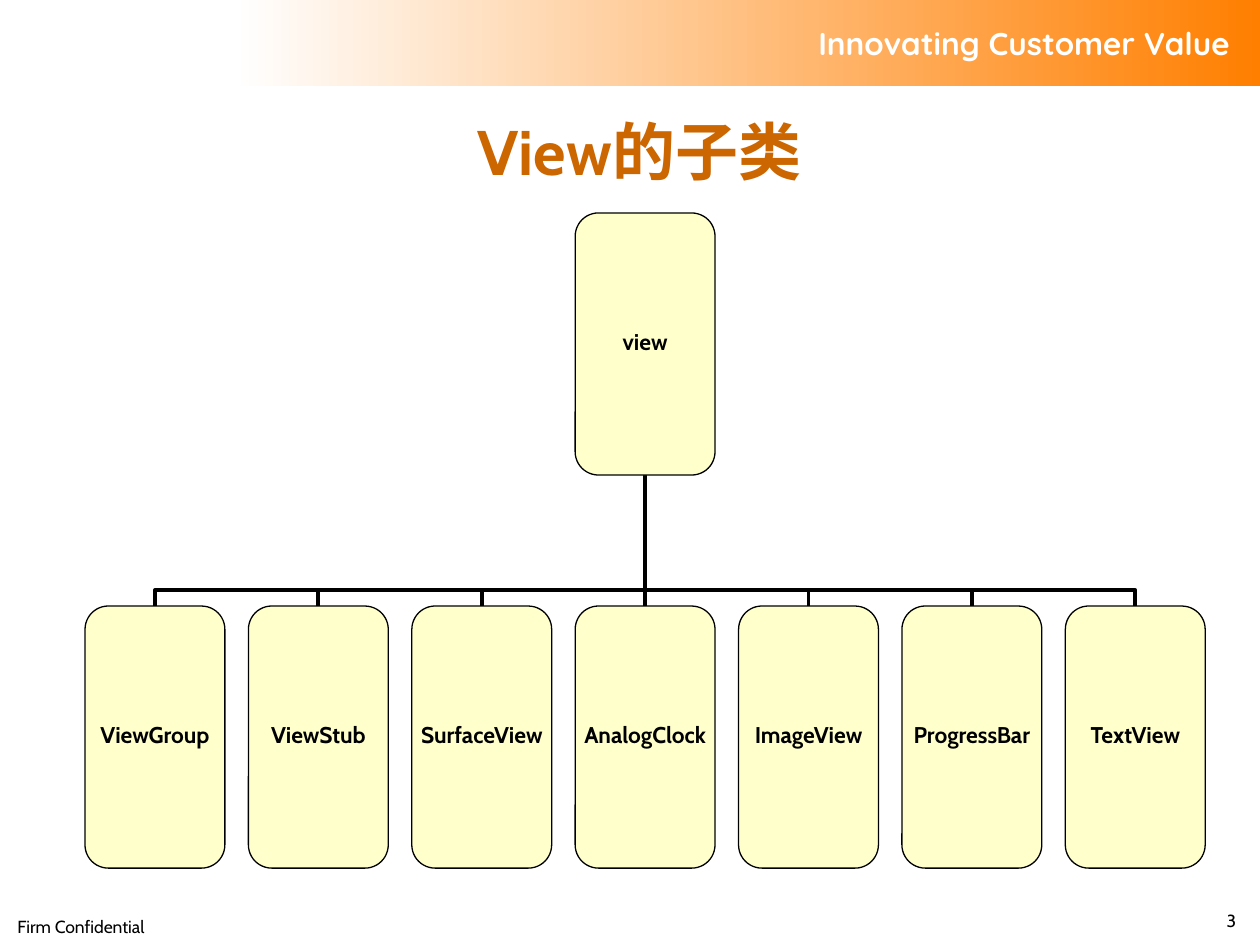
from lxml import etree
from pptx import Presentation
from pptx.dml.color import RGBColor
from pptx.enum.shapes import MSO_CONNECTOR, MSO_SHAPE
from pptx.enum.text import MSO_ANCHOR, PP_ALIGN
from pptx.oxml.ns import qn
from pptx.util import Inches, Pt

ELBOW = MSO_CONNECTOR.ELBOW
RECTANGLE, ROUNDED = MSO_SHAPE.RECTANGLE, MSO_SHAPE.ROUNDED_RECTANGLE
TOP, MIDDLE, BOTTOM = MSO_ANCHOR.TOP, MSO_ANCHOR.MIDDLE, MSO_ANCHOR.BOTTOM
LEFT, CENTER, RIGHT = PP_ALIGN.LEFT, PP_ALIGN.CENTER, PP_ALIGN.RIGHT

ORANGE = RGBColor(0xFF, 0x7F, 0x00)
RUST = RGBColor(0xCC, 0x66, 0x00)
CREAM = RGBColor(0xFF, 0xFF, 0xCC)
WHITE = RGBColor(0xFF, 0xFF, 0xFF)
BLACK = RGBColor(0, 0, 0)

BANNER = "Innovating Customer Value"
TITLE = "View的子类"
ROOT = "view"
SUBCLASSES = ["ViewGroup", "ViewStub", "SurfaceView", "AnalogClock",
              "ImageView", "ProgressBar", "TextView"]
FOOTERS = [
    ("Firm Confidential", (0.04, 7.22, 3.17, 0.24), LEFT, TOP),
    ("3", (7.91, 7.2, 2, 0.24), RIGHT, BOTTOM),
]

BANNER_FONT = {"name": "Quicksand", "size": Pt(18), "bold": True}
TITLE_FONT = {"name": "Cabin", "size": Pt(36), "bold": True}
NODE_FONT = {"name": "Cabin", "size": Pt(13), "bold": True}
FOOTER_FONT = {"name": "Cabin", "size": Pt(10), "bold": False}

NODE_WIDTH, NODE_HEIGHT = 1.11, 2.08
ROOT_TOP, CHILD_TOP = 1.69, 4.81
FIRST_CENTER, LAST_CENTER = 1.23, 9.01
PITCH = (LAST_CENTER - FIRST_CENTER) / (len(SUBCLASSES) - 1)
ROOT_CENTER = (FIRST_CENTER + LAST_CENTER) / 2
BEND = 12000


def place(shape, area):
    for side, length in zip(("left", "top", "width", "height"), area):
        setattr(shape, side, Inches(length))


def write(shape, text, font, color, align, anchor, margins=(0.1, 0.05, 0.1, 0.05)):
    frame = shape.text_frame
    frame.text = text
    frame.word_wrap = True
    frame.vertical_anchor = anchor
    for side, margin in zip(("left", "top", "right", "bottom"), margins):
        setattr(frame, f"margin_{side}", Inches(margin))
    para = frame.paragraphs[0]
    para.alignment = align
    span = para.runs[0]
    for name, value in font.items():
        setattr(span.font, name, value)
    span.font.color.rgb = color
    return para


def add_banner(page):
    banner = page.shapes.add_shape(RECTANGLE, 0, 0, 0, 0)
    place(banner, (1.85, 0, 8.15, 0.68))
    banner.shadow.inherit = False
    banner.line.fill.background()
    banner.fill.gradient()
    banner.fill.gradient_angle = 180
    for stop, color in zip(banner.fill.gradient_stops, (ORANGE, WHITE)):
        stop.color.rgb = color
    write(banner, BANNER, BANNER_FONT, WHITE, RIGHT, MIDDLE, (0.1, 0.05, 0.24, 0.05))


def add_branch(page, child_center):
    rise = CHILD_TOP - ROOT_TOP - NODE_HEIGHT
    run = abs(child_center - ROOT_CENTER)
    left = (child_center + ROOT_CENTER - rise) / 2
    bottom = CHILD_TOP - (rise - run) / 2
    start, end, turn = left, left + rise, 270
    if child_center < ROOT_CENTER:
        start, end, turn = end, start, 90
    branch = page.shapes.add_connector(
        ELBOW, Inches(start), Inches(bottom), Inches(end), Inches(bottom - run))
    branch.line.color.rgb = BLACK
    branch.line.width = Pt(2.25)
    properties = branch._element.spPr
    properties.find(qn("a:xfrm")).set("rot", str(turn * 60000))
    guides = properties.find(qn("a:prstGeom")).find(qn("a:avLst"))
    etree.SubElement(guides, qn("a:gd"), name="adj1", fmla=f"val {BEND}")
    etree.SubElement(properties, qn("a:effectLst"))


def add_node(page, text, center, top):
    node = page.shapes.add_shape(ROUNDED, 0, 0, 0, 0)
    place(node, (center - NODE_WIDTH / 2, top, NODE_WIDTH, NODE_HEIGHT))
    node.shadow.inherit = False
    node.fill.solid()
    node.fill.fore_color.rgb = CREAM
    node.line.color.rgb = BLACK
    node.line.width = Pt(0.75)
    para = write(node, text, NODE_FONT, BLACK, CENTER, MIDDLE, (0, 0, 0, 0))
    para.line_spacing = 0.8


def main():
    deck = Presentation()
    deck.slide_width, deck.slide_height = Inches(10), Inches(7.5)
    page = deck.slides.add_slide(deck.slide_layouts[5])
    add_banner(page)
    title = page.shapes.title
    place(title, (0.64, 0.76, 8.87, 0.87))
    write(title, TITLE, TITLE_FONT, RUST, CENTER, MIDDLE)

    centers = [FIRST_CENTER + PITCH * index for index in range(len(SUBCLASSES))]
    for center in centers:
        add_branch(page, center)
    add_node(page, ROOT, ROOT_CENTER, ROOT_TOP)
    for name, center in zip(SUBCLASSES, centers):
        add_node(page, name, center, CHILD_TOP)

    for text, area, align, anchor in FOOTERS:
        box = page.shapes.add_textbox(0, 0, 0, 0)
        place(box, area)
        write(box, text, FOOTER_FONT, BLACK, align, anchor)
    deck.save("out.pptx")


if __name__ == "__main__":
    main()
